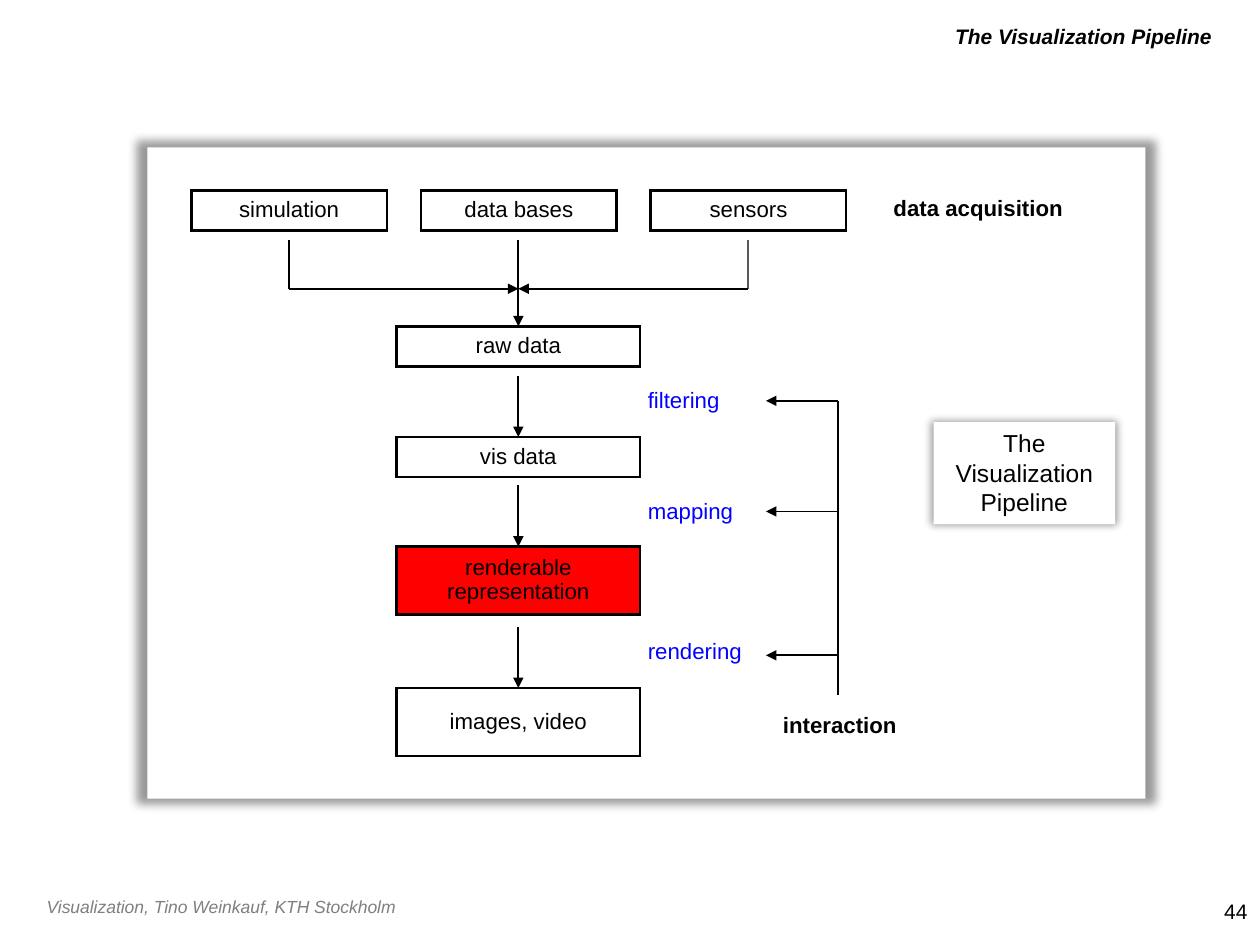
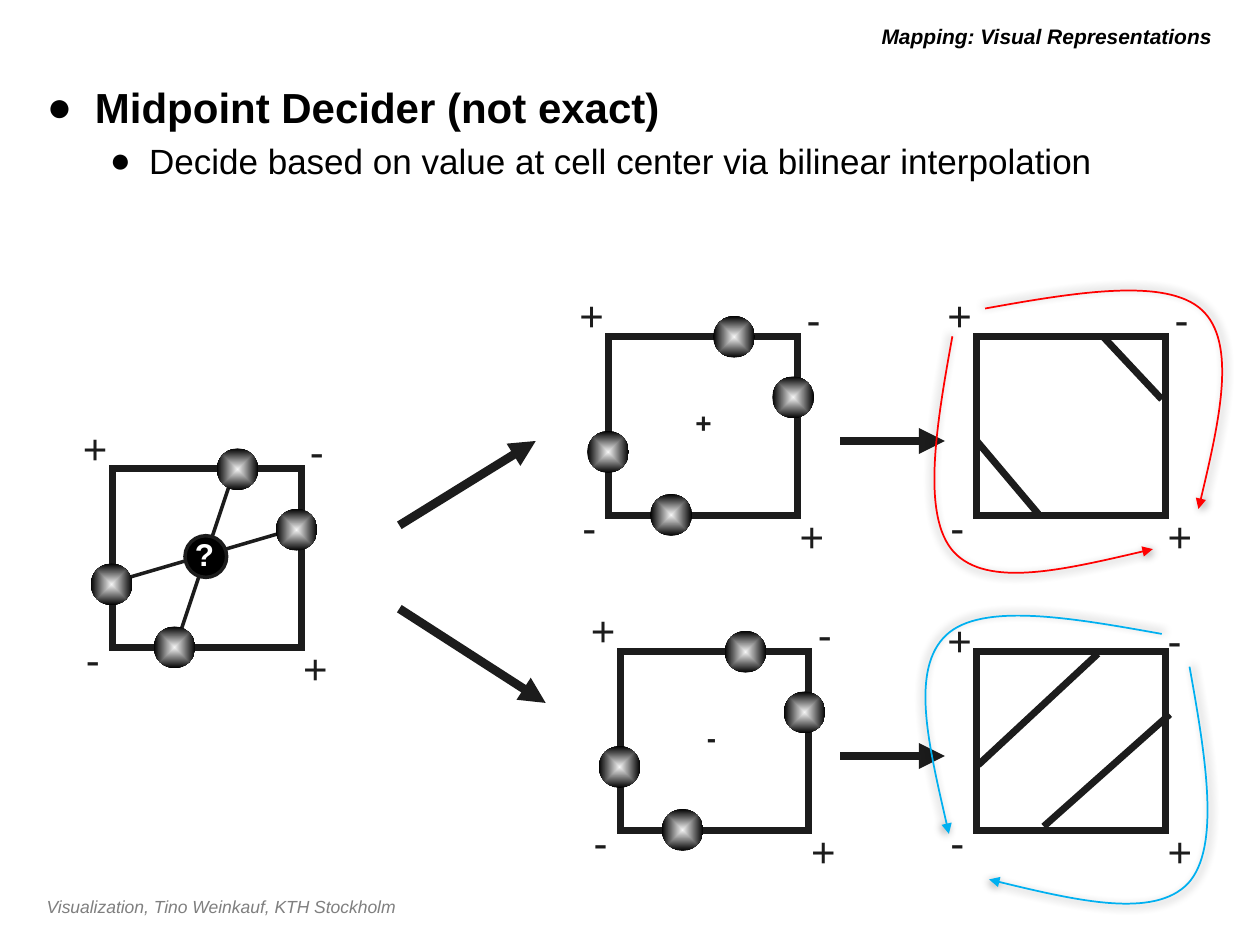
from dataclasses import dataclass

from lxml.etree import SubElement
from pptx import Presentation
from pptx.dml.color import RGBColor
from pptx.enum.shapes import MSO_CONNECTOR as LINE, MSO_SHAPE as SHAPE
from pptx.enum.text import MSO_ANCHOR as ANCHOR, MSO_AUTO_SIZE as FIT, PP_ALIGN as ALIGN
from pptx.oxml.ns import qn
from pptx.util import Cm, Pt


@dataclass(frozen=True)
class Theme:
    font: str = "Arial"
    black: str = "000000"
    ink: str = "1C1C1C"
    white: str = "FFFFFF"
    gray: str = "7F7F7F"
    faint: str = "595959"
    glow: str = "F5F5F5"
    red: str = "FF0000"
    blue: str = "0200FF"
    cyan: str = "00B0F0"
    footer: float = 10
    title: float = 12
    label: float = 12.7
    note: float = 14
    decision: float = 16
    query: float = 18
    item: float = 20
    head: float = 24


T = Theme()
FOOTER = "Visualization, Tino Weinkauf, KTH Stockholm"

PANEL = (2.97, 2.97, 20.12, 13.13)
NOTE = ("The Visualization Pipeline", (18.82, 8.51, 3.66, 2.06))
SOURCES = ["simulation", "data bases", "sensors"]
SOURCE_X, SOURCE_Y, SOURCE_W, SOURCE_STEP = 3.86, 3.84, 3.94, 4.63
STAGES = [
    ("raw data", 6.58, 0.81, None),
    ("vis data", 8.81, 0.81, None),
    ("renderable representation", 11.02, 1.37, T.red),
    ("images, video", 13.87, 1.37, None),
]
STAGE_X, STAGE_W, STAGE_ARROW = 8, 4.9, 1.24
AXIS, MERGE_TOP, MERGE_Y = 10.45, 4.83, 5.82
OPERATIONS = [("filtering", 7.67, 8.08), ("mapping", 9.91, 10.31), ("rendering", 12.73, 13.21)]
SPINE_X, SPINE_END, ARROW_TIP = 16.89, 14.02, 15.44
HEADINGS = [("interaction", (14.96, 14.22, 3.94, 0.76)),
            ("data acquisition", (17.27, 3.81, 4.9, 0.76))]

BULLETS = [
    ("Midpoint Decider (not exact)", 0, T.head, True, 0.97, 0.97, 0),
    ("Decide based on value at cell center\u00a0via bilinear interpolation".replace("\u00a0", " "),
     1, T.item, False, 2.06, 0.79, 4),
]
CELL_W, CELL_H, NODE = 3.81, 3.61, 0.84
SIGNS = [("+", 3.6, 3.38), ("+", -0.84, -1.06), ("-", 3.74, -0.99), ("-", -0.78, 3.2)]
LOW_SIGNS = [SIGNS[0], ("+", -0.84, -0.86), ("-", 3.6, -0.86), SIGNS[3]]
NODES = [(-0.43, 1.91), (2.11, -0.41), (3.3, 0.81), (0.84, 3.18)]
CELLS = [
    dict(at=(2.26, 9.45), nodes=NODES, center="?", width=2,
         lines=[(0, 2.29, 3.76, 1.19), (1.27, 3.61, 2.54, -0.2)]),
    dict(at=(12.27, 6.78), nodes=NODES, center="+"),
    dict(at=(12.5, 13.13), nodes=NODES, center="-"),
    dict(at=(19.69, 6.78), width=4,
         lines=[(0, 2.11, 1.24, 3.58), (2.54, 0, 3.73, 1.27)]),
    dict(at=(19.69, 13.13), width=4, signs=LOW_SIGNS,
         lines=[(0.03, 2.29, 2.44, 0.05), (1.35, 3.53, 3.89, 1.27)]),
]
CASE_ARROWS = [(8.05, 10.59, 10.8, 8.89), (8.05, 12.27, 11, 14.17),
               (16.94, 8.89, 19.05, 8.89), (16.94, 15.24, 19.05, 15.24)]
CURVES = [
    (T.red, [(19.86, 6.22), (21.69, 5.89), (23.52, 5.59), (24.23, 6.25),
             (24.94, 6.91), (24.56, 8.59), (24.16, 10.26)]),
    (T.red, [(19.2, 6.78), (18.87, 8.59), (18.57, 10.41), (19.23, 11.13),
             (19.91, 11.86), (21.56, 11.46), (23.24, 11.07)]),
    (T.cyan, [(23.98, 13.44), (24.31, 15.27), (24.61, 17.09), (23.95, 17.81),
              (23.27, 18.52), (21.62, 18.14), (19.94, 17.73)]),
    (T.cyan, [(23.42, 12.78), (21.59, 12.45), (19.79, 12.14), (19.08, 12.8),
              (18.34, 13.49), (18.75, 15.14), (19.13, 16.81)]),
]


def rgb(color):
    return RGBColor.from_string(color)


def sub(parent, tag, **attrs):
    return SubElement(parent, qn(tag), {k: str(v) for k, v in attrs.items()})


def stroke(sp, color, width, arrow=False):
    if color is None:
        sp.line.fill.background()
        return
    sp.line.color.rgb = rgb(color)
    sp.line.width = Pt(width)
    ln = sp.line._get_or_add_ln()
    sub(ln, "a:miter", lim=800000)
    if arrow:
        sub(ln, "a:tailEnd", type="triangle")


def paint(sp, color):
    if color:
        sp.fill.solid()
        sp.fill.fore_color.rgb = rgb(color)
    else:
        sp.fill.background()


def add_glow(sp):
    effects = sp._element.spPr.find(qn("a:effectLst"))
    shadow = sub(effects, "a:outerShdw", blurRad=Pt(5), sx=102000, sy=102000,
                 algn="ctr", rotWithShape=0)
    sub(sub(shadow, "a:srgbClr", val=T.black), "a:alpha", val=40000)


def write(p, text, size, color=T.black, bold=False, italic=False):
    r = p.add_run()
    r.text = text
    f = r.font
    f.name, f.size, f.bold, f.italic = T.font, Pt(size), bold, italic
    f.color.rgb = rgb(color)


def set_text(sp, text, size, color=T.black, bold=False, italic=False, align=ALIGN.LEFT,
             anchor=ANCHOR.TOP, inset=None, wrap=True, spacing=None):
    tf = sp.text_frame
    tf.word_wrap, tf.vertical_anchor, tf.auto_size = wrap, anchor, FIT.NONE
    if inset is not None:
        tf.margin_left = tf.margin_right = tf.margin_top = tf.margin_bottom = Cm(inset)
    p = tf.paragraphs[0]
    p.alignment, p.line_spacing = align, spacing
    write(p, text, size, color, bold, italic)


def add_text(s, box, text, size, **style):
    set_text(s.shapes.add_textbox(*map(Cm, box)), text, size, **style)


def add_box(s, box, fill=None, line=None, width=1.5, kind=SHAPE.RECTANGLE):
    sp = s.shapes.add_shape(kind, *map(Cm, box))
    sp.shadow.inherit = False
    paint(sp, fill)
    stroke(sp, line, width)
    return sp


def add_line(s, x1, y1, x2, y2, color=T.black, width=1, arrow=False):
    sp = s.shapes.add_connector(LINE.STRAIGHT, *map(Cm, (x1, y1, x2, y2)))
    stroke(sp, color, width, arrow)
    sub(sp._element.spPr, "a:effectLst")


def add_curve(s, color, points):
    pts = [(Cm(x), Cm(y)) for x, y in points]
    builder = s.shapes.build_freeform(*pts[0])
    builder.add_line_segments(pts[1:], close=False)
    sp = builder.convert_to_shape()
    outline = next(sp._element.iter(qn("a:path")))
    segments = outline.findall(qn("a:lnTo"))
    for i in range(0, len(segments), 3):
        bezier = sub(outline, "a:cubicBezTo")
        for segment in segments[i:i + 3]:
            bezier.append(segment[0])
            outline.remove(segment)
    sp.shadow.inherit = False
    paint(sp, None)
    stroke(sp, color, 1, arrow=True)
    add_glow(sp)


def add_node(s, x, y):
    sp = add_box(s, (x, y, NODE, NODE), kind=SHAPE.OVAL)
    pr = sp._element.spPr
    grad = sub(pr, "a:gradFill", rotWithShape=1)
    stops = sub(grad, "a:gsLst")
    for pos, color in ((0, T.glow), (100000, T.black)):
        sub(sub(stops, "a:gs", pos=pos), "a:srgbClr", val=color)
    sub(sub(grad, "a:path", path="shape"), "a:fillToRect", l=50000, t=50000, r=50000, b=50000)
    pr.replace(pr.find(qn("a:noFill")), grad)


def place(sp, box):
    sp.left, sp.top, sp.width, sp.height = map(Cm, box)


def new_slide(prs, layout, title):
    s = prs.slides.add_slide(prs.slide_layouts[layout])
    add_text(s, (0.69, 17.93, 18.77, 0.69), FOOTER, T.footer, color=T.gray, italic=True)
    place(s.shapes.title, (4.01, 0.33, 20.68, 0.79))
    set_text(s.shapes.title, title, T.title, bold=True, italic=True,
             align=ALIGN.RIGHT, anchor=ANCHOR.MIDDLE)
    return s


def pipeline_slide(prs):
    s = new_slide(prs, 5, "The Visualization Pipeline")
    add_text(s, (20.12, 17.93, 5.28, 0.81), "44", T.title, align=ALIGN.RIGHT, anchor=ANCHOR.BOTTOM)
    add_glow(add_box(s, PANEL, T.white))

    boxes = [(name, (SOURCE_X + i * SOURCE_STEP, SOURCE_Y, SOURCE_W, 0.81), None)
             for i, name in enumerate(SOURCES)]
    boxes += [(name, (STAGE_X, y, STAGE_W, h), fill) for name, y, h, fill in STAGES]
    for name, box, fill in boxes:
        set_text(add_box(s, box, fill, T.black), name, T.label, align=ALIGN.CENTER,
                 anchor=ANCHOR.MIDDLE, inset=0.08, spacing=0.9)

    add_line(s, AXIS, MERGE_TOP, AXIS, STAGES[0][1], arrow=True)
    for side, color in ((-1, T.black), (1, T.faint)):
        x = AXIS + side * SOURCE_STEP
        add_line(s, x, MERGE_TOP, x, MERGE_Y, color)
        add_line(s, x, MERGE_Y, AXIS, MERGE_Y, arrow=True)
    for _, y, _, _ in STAGES[1:]:
        add_line(s, AXIS, y - STAGE_ARROW, AXIS, y, arrow=True)

    for name, y, arrow_y in OPERATIONS:
        add_text(s, (12.98, y, 3.3, 0.76), name, T.label, color=T.blue,
                 anchor=ANCHOR.MIDDLE, inset=0.08)
        add_line(s, SPINE_X, arrow_y, ARROW_TIP, arrow_y, arrow=True)
    add_line(s, SPINE_X, OPERATIONS[0][2], SPINE_X, SPINE_END)
    for name, box in HEADINGS:
        add_text(s, box, name, T.label, bold=True, align=ALIGN.CENTER,
                 anchor=ANCHOR.MIDDLE, inset=0.08)

    text, box = NOTE
    note = add_box(s, box, T.white)
    add_glow(note)
    set_text(note, text, T.note, align=ALIGN.CENTER)


def add_cell(s, at, nodes=(), center=None, lines=(), width=4, signs=SIGNS):
    x, y = at
    for x1, y1, x2, y2 in lines:
        add_line(s, x + x1, y + y1, x + x2, y + y2, T.ink, width)
    add_box(s, (x, y, CELL_W, CELL_H), line=T.ink, width=4)
    for sign, dx, dy in signs:
        add_text(s, (x + dx, y + dy, 1.02 if sign == "+" else 0.79, 1.27), sign, T.head,
                 color=T.ink, wrap=False)
    for dx, dy in nodes:
        add_node(s, x + dx, y + dy)
    if center == "?":
        add_box(s, (x + 1.47, y + 1.35, NODE, NODE), T.black, T.ink, 2, SHAPE.OVAL)
        add_text(s, (x + 1.42, y + 1.22, 0.89, 1.02), center, T.query,
                 color=T.white, bold=True, wrap=False)
    elif center:
        add_text(s, (x + 1.5, y + 1.27, 0.84 if center == "+" else 0.71, 0.94), center,
                 T.decision, color=T.ink, bold=True, wrap=False)


def decider_slide(prs):
    s = new_slide(prs, 1, "Mapping: Visual Representations")
    body = s.placeholders[1]
    place(body, (0.69, 1.52, 24, 16))
    tf = body.text_frame
    tf.auto_size = FIT.NONE
    for i, (text, level, size, bold, left, hang, before) in enumerate(BULLETS):
        p = tf.add_paragraph() if i else tf.paragraphs[0]
        p.level, p.space_before = level, Pt(before)
        pr = p._p.get_or_add_pPr()
        pr.set("marL", str(Cm(left)))
        pr.set("indent", str(-Cm(hang)))
        sub(pr, "a:buFont", typeface=T.font)
        sub(pr, "a:buChar", char="●")
        write(p, text, size, bold=bold)

    for cell in CELLS:
        add_cell(s, **cell)
    for ends in CASE_ARROWS:
        add_line(s, *ends, T.ink, 5, arrow=True)
    for color, points in CURVES:
        add_curve(s, color, points)


def main():
    prs = Presentation()
    prs.slide_width, prs.slide_height = Cm(25.4), Cm(19.05)
    pipeline_slide(prs)
    decider_slide(prs)
    prs.save("out.pptx")


if __name__ == "__main__":
    main()
